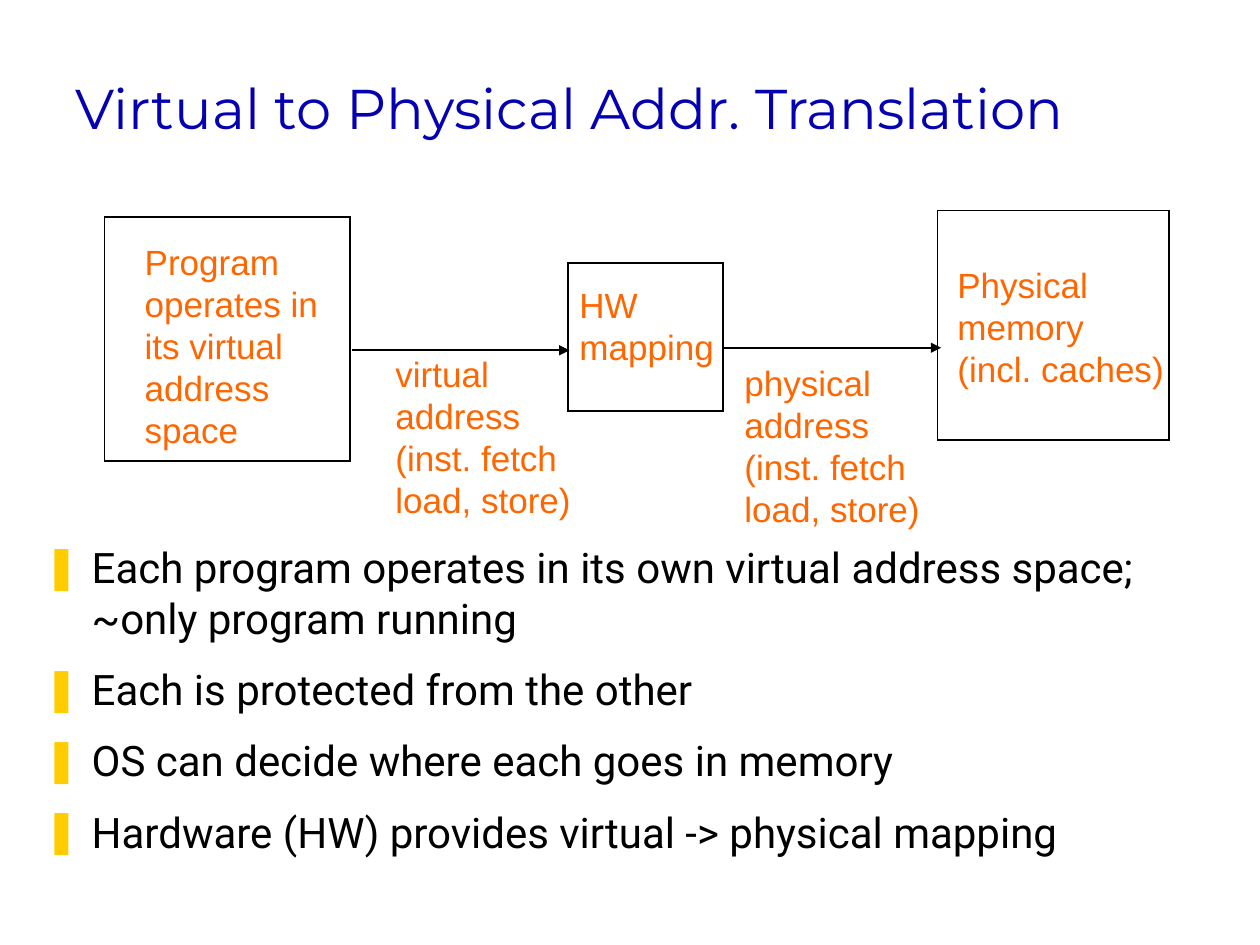
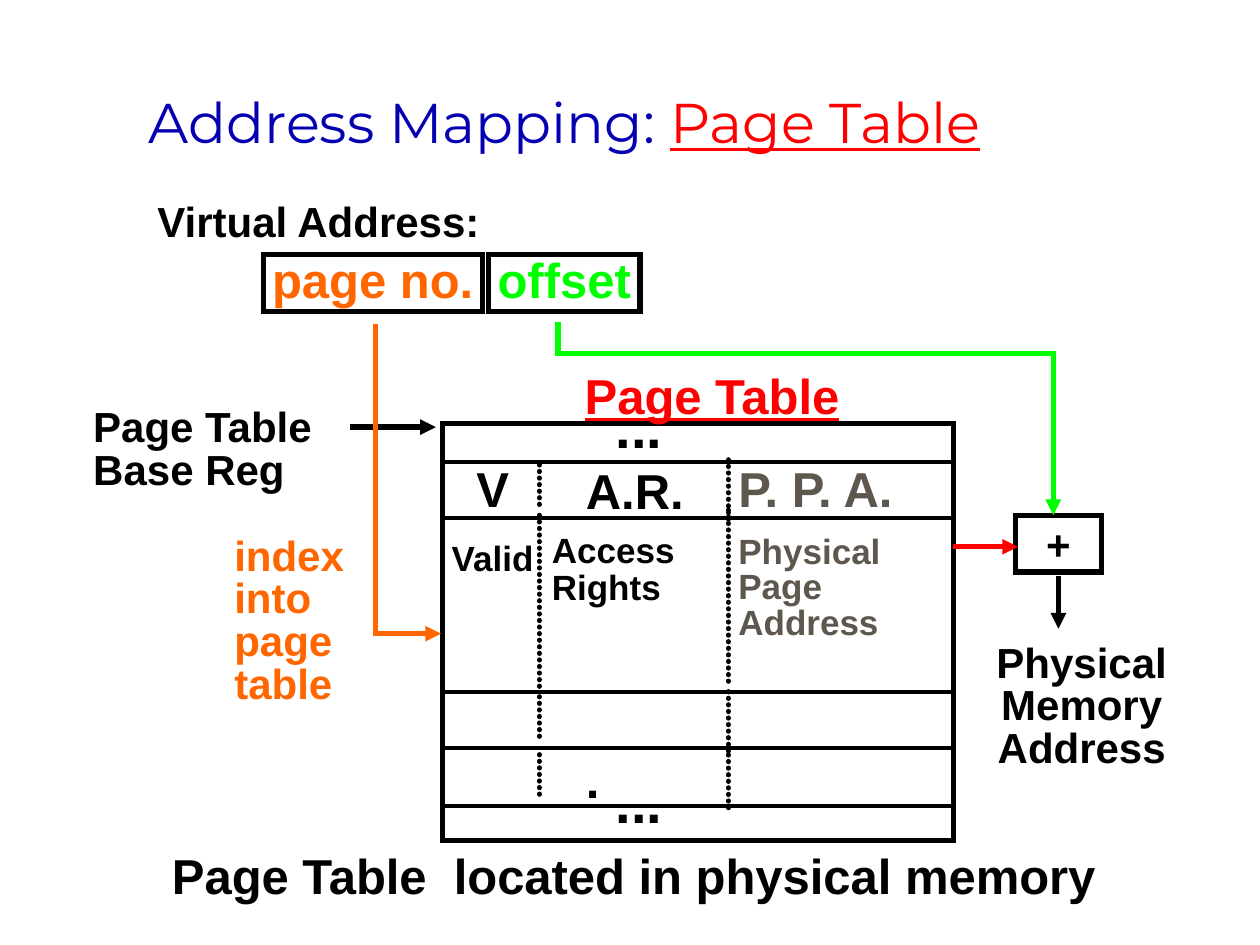
from functools import partial

from lxml.etree import SubElement
from pptx import Presentation
from pptx.dml.color import RGBColor
from pptx.enum.shapes import MSO_CONNECTOR as LINK, MSO_SHAPE
from pptx.enum.text import MSO_ANCHOR as ANCHOR, MSO_AUTO_SIZE as FIT, PP_ALIGN as ALIGN
from pptx.oxml.ns import qn
from pptx.util import Cm, Pt

BLACK, BLUE, RED = "000000", "0400B2", "FF0000"
ORANGE, GREEN, GRAY, YELLOW = "FF6600", "00FF00", "5E574E", "FFCC00"
LOOSE, TIGHT = (0.1, 0.05), (0.07, 0.03)
SLACK = 0.06  # spare label width, so that no word breaks


def inch(value):
    """Turn a distance on the inch grid into a Cm length."""
    return Cm(value * 2.54)


def color(hex_code):
    """Turn a hex string into a colour."""
    return RGBColor.from_string(hex_code)


def write(shape, paragraphs, size, font="Arial", bold=False, align=ALIGN.LEFT,
          spacing=None, inset=LOOSE, anchor=ANCHOR.TOP, wrap=False, fit=FIT.SHAPE_TO_FIT_TEXT):
    """Fill a shape with paragraphs, each a list of (words, hex, underlined) runs."""
    frame = shape.text_frame
    frame.word_wrap, frame.auto_size, frame.vertical_anchor = wrap, fit, anchor
    frame.margin_left = frame.margin_right = inch(inset[0])
    frame.margin_top = frame.margin_bottom = inch(inset[1])
    for number, runs in enumerate(paragraphs):
        paragraph = frame.add_paragraph() if number else frame.paragraphs[0]
        paragraph.alignment = align
        if spacing:
            paragraph.line_spacing = spacing
        for words, hex_code, underlined in runs:
            run = paragraph.add_run()
            run.text = words
            run.font.name, run.font.size, run.font.bold = font, Pt(size), bold
            run.font.color.rgb = color(hex_code)
            if underlined:
                run.font.underline = True


def text_box(slide, area):
    """Add an empty text box at (left, top, width, height)."""
    return slide.shapes.add_textbox(*map(inch, area))


def label(slide, area, words, size=20, hex_code=BLACK, underlined=False,
          align=ALIGN.LEFT, **style):
    """Add a one-colour label; each line of words is a paragraph."""
    left, top, width, height = area
    if align == ALIGN.CENTER:
        left -= SLACK / 2
    lines = [[(line, hex_code, underlined)] for line in words.split("\n")]
    write(text_box(slide, (left, top, width + SLACK, height)), lines, size, align=align, **style)


def title(slide, area, runs, anchor):
    """Add the slide title."""
    write(text_box(slide, area), [runs], 32, font="Montserrat", anchor=anchor,
          wrap=True, fit=FIT.NONE)


def bullets(slide, area, sentences):
    """Add a list with yellow bar bullets."""
    body = text_box(slide, area)
    write(body, [[(sentence, BLACK, False)] for sentence in sentences], 24,
          font="Roboto", wrap=True, fit=FIT.NONE)
    for paragraph in body.text_frame.paragraphs:
        paragraph.space_before = Pt(12)
        properties = paragraph._p.get_or_add_pPr()
        properties.set("marL", str(inch(0.38)))
        properties.set("indent", str(-inch(0.38)))
        tint = SubElement(properties, qn("a:buClr"))
        SubElement(tint, qn("a:srgbClr"), val=YELLOW)
        SubElement(properties, qn("a:buFont"), typeface="Arial")
        SubElement(properties, qn("a:buChar"), char="\u275a")


def stroke(shape, weight, hex_code, dotted=False, arrow=False):
    """Style an outline or connector: sharp corners, round dots or an arrowhead."""
    shape.line.color.rgb = color(hex_code)
    shape.line.width = Pt(weight)
    outline = shape.line._get_or_add_ln()
    if dotted:
        outline.set("cap", "rnd")
        dashes = SubElement(outline, qn("a:custDash"))
        SubElement(dashes, qn("a:ds"), d="100000", sp="25000")
    else:
        SubElement(outline, qn("a:miter"), lim="800000")
    if arrow:
        SubElement(outline, qn("a:tailEnd"), type="triangle")


def frame_box(slide, area, weight):
    """Add an unfilled black rectangle."""
    box = slide.shapes.add_shape(MSO_SHAPE.RECTANGLE, *map(inch, area))
    box.shadow.inherit = False
    box.fill.background()
    stroke(box, weight, BLACK)
    return box


def line(slide, start, end, weight, hex_code=BLACK, arrow=False, dotted=False, kind=LINK.STRAIGHT):
    """Add a connector, with an arrowhead at its end or dotted on demand."""
    link = slide.shapes.add_connector(kind, *map(inch, start + end))
    stroke(link, weight, hex_code, dotted, arrow)
    SubElement(link._element.spPr, qn("a:effectLst"))
    return link


def elbow_arrow(slide, start, end, hex_code, bend=None):
    """Add an arrow that leaves downwards; bend is the share of the drop before it turns twice."""
    (x1, y1), (x2, y2) = start, end
    middle_x, middle_y = (x1 + x2) / 2, (y1 + y2) / 2
    half_drop, half_run = (y2 - y1) / 2, (x2 - x1) / 2
    # A quarter turn left of a mirrored elbow makes it start vertically.
    link = line(slide, (middle_x + half_drop, middle_y - half_run),
                (middle_x - half_drop, middle_y + half_run), 3, hex_code, True, kind=LINK.ELBOW)
    properties = link._element.spPr
    properties.find(qn("a:xfrm")).set("rot", str(270 * 60000))
    geometry = properties.find(qn("a:prstGeom"))
    if bend is None:
        geometry.set("prst", "bentConnector2")
    else:
        guides = geometry.find(qn("a:avLst"))
        if guides is None:
            guides = SubElement(geometry, qn("a:avLst"))
        SubElement(guides, qn("a:gd"), name="adj1", fmla=f"val {round(bend * 100000)}")


def translation_slide(slide):
    """Show how a virtual address becomes a physical one."""
    title(slide, (0.5, 0.67, 9.17, 0.5),
          [("Virtual to Physical Addr. Translation", BLUE, False)], ANCHOR.BOTTOM)
    bullets(slide, (0.25, 4.25, 9.5, 2.76), [
        "Each program operates in its own virtual address space; ~only program running",
        "Each is protected from the other",
        "OS can decide where each goes in memory",
        "Hardware (HW) provides virtual -> physical mapping"])
    for area in ((0.83, 1.72, 1.95, 1.94), (4.51, 2.09, 1.23, 1.17), (7.44, 1.67, 1.84, 1.82)):
        frame_box(slide, area, 1)
    for left, y in ((2.79, 2.78), (5.74, 2.76)):
        line(slide, (left, y), (left + 1.73, y), 1, arrow=True)
    for area, words in (
            ((1.05, 1.86, 1.57, 1.77), "Program\noperates in\nits virtual\naddress\nspace"),
            ((3.04, 2.75, 1.59, 1.44), "virtual\naddress\n(inst. fetch\nload, store)"),
            ((4.5, 2.2, 1.26, 0.77), "HW\nmapping"),
            ((5.81, 2.82, 1.59, 1.44), "physical\naddress\n(inst. fetch\nload, store)"),
            ((7.5, 2.04, 1.84, 1.1), "Physical\nmemory\n(incl. caches)")):
        label(slide, area, words, hex_code=ORANGE)


def page_table(slide):
    """Draw the page table with its rows, dotted columns and entries."""
    left, right = 3.53, 7.57
    frame_box(slide, (3.51, 3.36, 4.06, 3.31), 3)
    for y in (3.67, 4.11, 5.49, 5.94, 6.4):
        line(slide, (left, y), (right, y), 2.24)
    columns = {4.28: ((3.69, 4.05), (4.09, 5.46), (5.53, 5.88), (5.99, 6.34)),
               5.78: ((3.65, 4.13), (4.05, 5.44), (5.49, 5.96), (5.94, 6.42))}
    for x, spans in columns.items():
        for top, bottom in spans:
            line(slide, (x, top), (x, bottom), 3, dotted=True)

    entry = partial(label, slide, bold=True, inset=TIGHT)
    entry((4.57, 2.94, 2.19, 0.45), "Page Table", 28, RED, True, spacing=0.85)
    entry((3.71, 3.68, 0.4, 0.45), "V", 28, spacing=0.85, align=ALIGN.CENTER)
    entry((4.58, 3.68, 0.92, 0.48), "A.R.", 28, spacing=0.9)
    entry((5.79, 3.68, 1.48, 0.45), "P. P. A.", 28, GRAY, spacing=0.85)
    entry((3.51, 4.28, 0.8, 0.34), "Valid", spacing=0.85, align=ALIGN.CENTER)
    entry((4.31, 4.2, 1.11, 0.66), "Access\nRights", spacing=0.9)
    entry((5.79, 4.22, 1.27, 0.91), "Physical\nPage\nAddress", 20, GRAY, spacing=0.85)
    entry((4.58, 5.97, 0.25, 0.48), ".", 28, spacing=0.9)
    for top in (3.07, 6.04):
        label(slide, (4.79, top, 0.57, 0.64), "...", 32, bold=True)


def mapping_slide(slide):
    """Show how the page table maps a virtual address."""
    title(slide, (1.08, 0.75, 8.35, 0.43),
          [("Address Mapping: ", BLUE, False), ("Page Table", RED, True)], ANCHOR.MIDDLE)
    note = partial(label, slide, bold=True, inset=TIGHT, spacing=0.85)
    note((1, 6.75, 8.06, 0.45), "Page Table  located in physical memory", 28,
         align=ALIGN.CENTER, wrap=True)
    note((1.18, 1.58, 2.71, 0.4), "Virtual Address:", 24)
    note((0.67, 3.21, 1.9, 0.74), "Page Table\nBase Reg", 24)
    note((1.79, 4.23, 1.01, 1.42), "index\ninto\npage\ntable", 24, ORANGE)
    note((7.84, 5.08, 1.49, 1.08), "Physical\nMemory\nAddress", 24, align=ALIGN.CENTER)

    for left, width, words, hex_code in ((2.09, 1.74, "page no.", ORANGE),
                                         (3.88, 1.2, "offset", GREEN)):
        write(frame_box(slide, (left, 2.02, width, 0.45), 3), [[(words, hex_code, False)]], 28,
              bold=True, spacing=0.85, inset=TIGHT)
    write(frame_box(slide, (8.06, 4.09, 0.68, 0.45), 3), [[("+", BLACK, False)]], 24,
          bold=True, align=ALIGN.CENTER, anchor=ANCHOR.MIDDLE, fit=FIT.NONE)

    page_table(slide)
    line(slide, (2.78, 3.39), (3.46, 3.39), 3, arrow=True)
    line(slide, (7.56, 4.34), (8.08, 4.34), 3, RED, arrow=True)
    line(slide, (8.4, 4.57), (8.4, 4.99), 3, arrow=True)
    elbow_arrow(slide, (2.98, 2.57), (3.5, 5.03), ORANGE)
    elbow_arrow(slide, (4.43, 2.56), (8.36, 4.09), GREEN, bend=0.16)


def main():
    """Build both slides and save them."""
    deck = Presentation()
    deck.slide_width, deck.slide_height = inch(10), inch(7.5)
    for build in (translation_slide, mapping_slide):
        build(deck.slides.add_slide(deck.slide_layouts[6]))
    deck.save("out.pptx")


main()
